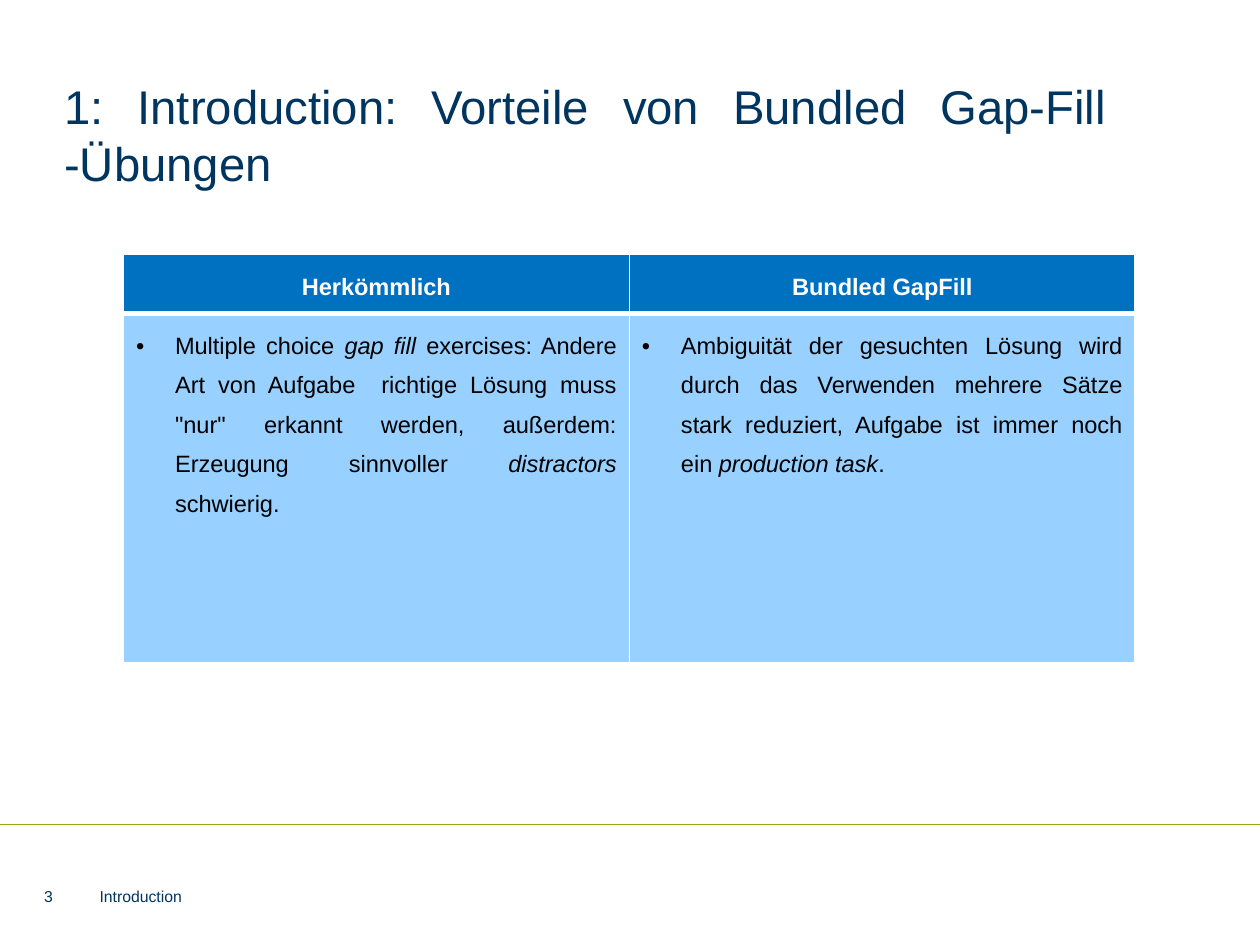
from lxml import etree
from pptx import Presentation
from pptx import util as u
from pptx.dml.color import RGBColor
from pptx.enum import shapes, text
from pptx.oxml.ns import qn

NAVY = RGBColor(0x00, 0x35, 0x60)
GREEN = RGBColor(0x8D, 0xAE, 0x10)
HEADER_BLUE = RGBColor(0x00, 0x70, 0xC0)
BODY_BLUE = RGBColor(0x98, 0xD1, 0xFF)
WHITE = RGBColor(0xFF, 0xFF, 0xFF)
BLACK = RGBColor(0x00, 0x00, 0x00)

HEADERS = ["Herkömmlich", "Bundled GapFill"]
# Every second piece of a point is italic
POINTS = [
    ["Multiple choice ", "gap fill ",
     "exercises: Andere Art von Aufgabe  richtige Lösung muss \"nur\" erkannt "
     "werden, außerdem: Erzeugung sinnvoller ", "distractors", " schwierig."],
    ["Ambiguität der gesuchten Lösung wird durch das Verwenden mehrere Sätze "
     "stark reduziert, Aufgabe ist immer noch ein ", "production task", "."],
]


def write(frame, pieces, size, color, bold=False, align=text.PP_ALIGN.LEFT,
          spacing=1.0, bullet=False):
    """Fill the first paragraph; every second piece is set in italics."""
    para = frame.paragraphs[0]
    para.alignment = align
    para.line_spacing = spacing
    for index, piece in enumerate(pieces):
        run = para.add_run()
        run.text = piece
        font = run.font
        font.name, font.size, font.bold = "Arial", u.Pt(size), bold
        font.italic = index % 2 == 1
        font.color.rgb = color
    if bullet:
        props = para._p.get_or_add_pPr()
        props.set("marL", str(u.Inches(0.31)))
        props.set("indent", str(u.Inches(-0.31)))
        etree.SubElement(props, qn("a:buFont"), typeface="Arial")
        etree.SubElement(props, qn("a:buChar"), char="•")


def set_frame(frame):
    frame.word_wrap = True
    frame.auto_size = text.MSO_AUTO_SIZE.NONE
    frame.vertical_anchor = text.MSO_ANCHOR.MIDDLE
    frame.margin_left = frame.margin_right = 0
    frame.margin_top = frame.margin_bottom = 0


def place_title(slide, wording):
    title = slide.shapes.title
    title.left, title.top = u.Inches(0.51), u.Inches(0.58)
    title.width, title.height = u.Inches(8.27), u.Inches(0.97)
    set_frame(title.text_frame)
    write(title.text_frame, [wording], 27, NAVY, align=text.PP_ALIGN.JUSTIFY)


def add_footer(slide, wording, left, width):
    footer = slide.shapes.add_textbox(u.Inches(left), u.Inches(7.03),
                                      u.Inches(width), u.Inches(0.16))
    set_frame(footer.text_frame)
    write(footer.text_frame, [wording], 9, NAVY)


def add_rule(slide):
    rule = slide.shapes.add_connector(shapes.MSO_CONNECTOR.STRAIGHT, 0,
                                      u.Inches(6.54), u.Inches(10), u.Inches(6.54))
    rule.line.color.rgb = GREEN
    rule.line.width = u.Pt(0.5)
    etree.SubElement(rule._element.spPr, qn("a:effectLst"))


def style_cell(cell, fill, top, bottom):
    """Set the fill and white borders, with widths in points."""
    cell.fill.solid()
    cell.fill.fore_color.rgb = fill
    props = cell._tc.get_or_add_tcPr()
    widths = {"a:lnL": 1, "a:lnR": 1, "a:lnT": top, "a:lnB": bottom}
    for position, (side, width) in enumerate(widths.items()):
        border = etree.Element(qn(side), w=str(u.Pt(width)))
        solid = etree.SubElement(border, qn("a:solidFill"))
        etree.SubElement(solid, qn("a:srgbClr"), val=str(WHITE))
        props.insert(position, border)


def add_comparison(slide):
    table = slide.shapes.add_table(2, 2, u.Inches(0.98), u.Inches(2.02),
                                   u.Inches(8.03), u.Inches(3.24)).table
    for row, height in zip(table.rows, (0.47, 2.77)):
        row.height = u.Inches(height)
    for column, (header, point) in enumerate(zip(HEADERS, POINTS)):
        head, body = table.cell(0, column), table.cell(1, column)
        style_cell(head, HEADER_BLUE, top=1, bottom=3)
        write(head.text_frame, [header], 13.5, WHITE, bold=True,
              align=text.PP_ALIGN.CENTER, spacing=1.5)
        style_cell(body, BODY_BLUE, top=3, bottom=1)
        write(body.text_frame, point, 13.5, BLACK,
              align=text.PP_ALIGN.JUSTIFY, spacing=1.5, bullet=True)


def main():
    deck = Presentation()
    deck.slide_width, deck.slide_height = u.Inches(10), u.Inches(7.5)
    slide = deck.slides.add_slide(deck.slide_layouts[5])

    # Line above the footer
    add_rule(slide)
    # Heading
    place_title(slide, "1: Introduction: Vorteile von Bundled Gap-Fill -Übungen")
    # Section name and page number
    add_footer(slide, "Introduction", left=0.79, width=6.89)
    add_footer(slide, "3", left=0.35, width=0.28)
    # Comparison of the two exercise types
    add_comparison(slide)

    deck.save("out.pptx")


if __name__ == "__main__":
    main()
